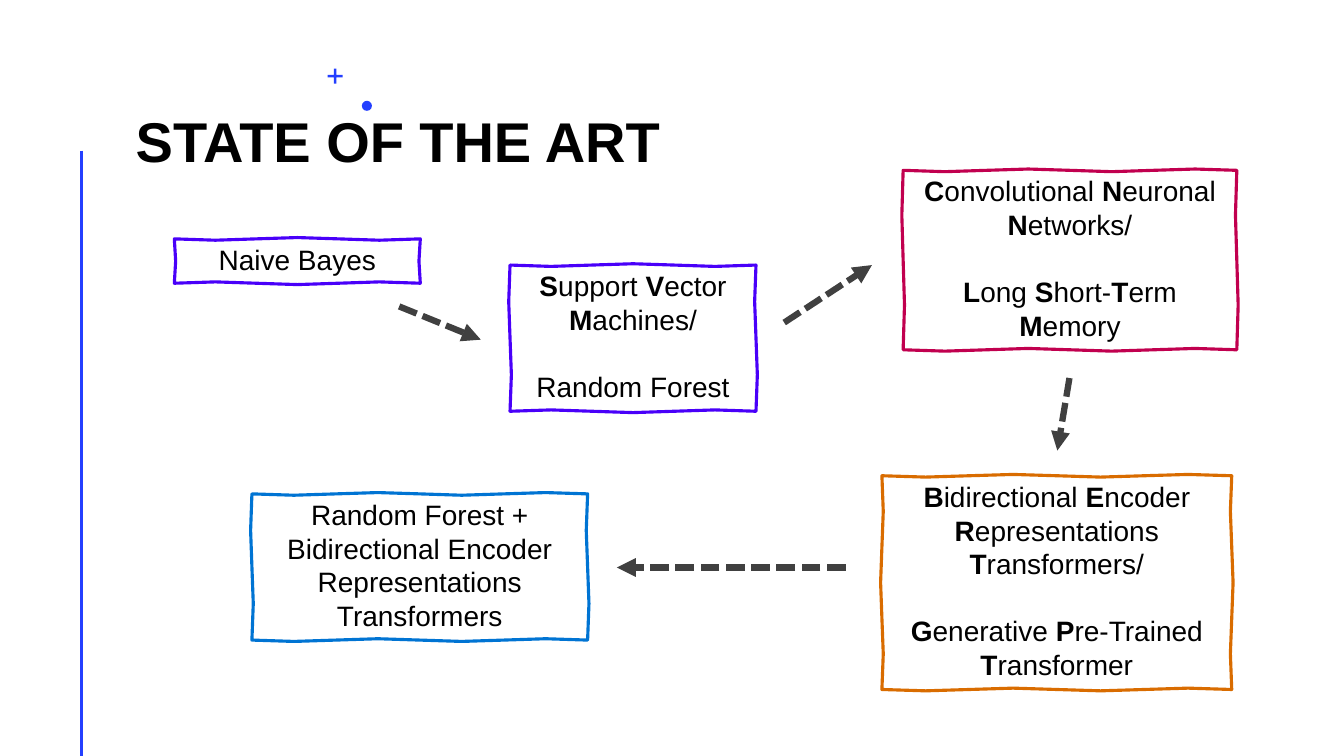
from dataclasses import dataclass
from math import hypot, pi, sin

from lxml import etree
from pptx import Presentation
from pptx.dml.color import RGBColor
from pptx.enum.dml import MSO_LINE
from pptx.enum.shapes import MSO_CONNECTOR, MSO_SHAPE
from pptx.enum.text import MSO_ANCHOR, PP_ALIGN
from pptx.oxml.ns import qn
from pptx.shapes.autoshape import Shape
from pptx.shapes.connector import Connector
from pptx.slide import Slide
from pptx.util import Emu, Inches, Pt

STRAIGHT = MSO_CONNECTOR.STRAIGHT
OVAL, CROSS = MSO_SHAPE.OVAL, MSO_SHAPE.CROSS
DASH = MSO_LINE.SQUARE_DOT
TOP, BOTTOM = MSO_ANCHOR.TOP, MSO_ANCHOR.BOTTOM
CENTER = PP_ALIGN.CENTER

CELL = Inches(1) / 3
COLUMNS, ROWS = 40, 22.5
WOBBLE = 0.04      # cells a sketched edge strays from straight
HALF_WAVE = 2.4    # cells between two crossings of the straight line


@dataclass(frozen=True)
class Theme:
    font: str = "Arial"
    title_size: Pt = Pt(40)
    body_size: Pt = Pt(20)
    body_leading: Pt = Pt(24)
    outline: Pt = Pt(2.25)
    rule: Pt = Pt(2)
    arrow: Pt = Pt(4.5)
    text: str = "000000"
    accent: str = "243FFF"
    arrow_color: str = "404040"
    violet: str = "4900F9"
    red: str = "C1004F"
    orange: str = "D96C00"
    blue: str = "0074D3"


THEME = Theme()


@dataclass(frozen=True)
class Method:
    """A box on the grid; letters between asterisks are bold."""
    column: float
    row: float
    width: float
    height: float
    color: str
    label: str


@dataclass(frozen=True)
class Step:
    start: tuple[float, float]
    end: tuple[float, float]


METHODS = (
    Method(5.19, 7.11, 7.32, 1.32, THEME.violet, "Naive Bayes"),
    Method(15.18, 7.89, 7.32, 4.35, THEME.violet,
           "*S*upport *V*ector *M*achines/\n\nRandom Forest"),
    Method(26.25, 14.16, 10.41, 6.36, THEME.orange,
           "*B*idirectional *E*ncoder *R*epresentations *T*ransformers/\n\n"
           "*G*enerative *P*re-Trained *T*ransformer"),
    Method(26.88, 5.07, 9.93, 5.34, THEME.red,
           "*C*onvolutional *N*euronal *N*etworks/\n\n"
           "*L*ong *S*hort-*T*erm *M*emory"),
    Method(7.5, 14.7, 9.99, 4.35, THEME.blue,
           "Random Forest + Bidirectional Encoder Representations "
           "Transformers"),
)

STEPS = (
    Step((11.88, 9.12), (14.31, 10.11)),
    Step((23.34, 9.6), (25.95, 7.89)),
    Step((31.83, 11.25), (31.47, 13.41)),
    Step((25.17, 16.89), (18.36, 16.89)),
)


def cells(count: float) -> Emu:
    return Emu(round(count * CELL))


def rgb(color: str) -> RGBColor:
    return RGBColor.from_string(color)


def wavy_edge(start: tuple[float, float],
              end: tuple[float, float]) -> list[tuple[Emu, Emu]]:
    """Crests and crossings of a slight wave along the straight line."""
    dx, dy = end[0] - start[0], end[1] - start[1]
    length = hypot(dx, dy)
    steps = 2 * max(1, round(length / HALF_WAVE))
    points = []
    for step in range(1, steps + 1):
        share = step / steps
        swing = WOBBLE * sin(pi * step / 2) / length
        points.append((cells(start[0] + dx * share - dy * swing),
                       cells(start[1] + dy * share + dx * swing)))
    return points


def write_label(box: Shape, label: str) -> None:
    frame = box.text_frame
    frame.word_wrap = True
    frame.vertical_anchor = TOP
    paragraph = frame.paragraphs[0]
    paragraph.alignment = CENTER
    paragraph.line_spacing = THEME.body_leading
    paragraph.font.name = THEME.font
    paragraph.font.size = THEME.body_size
    paragraph.font.color.rgb = rgb(THEME.text)
    for index, line in enumerate(label.split("\n")):
        if index:
            paragraph.add_line_break()
        for part, letters in enumerate(line.split("*")):
            if letters:
                run = paragraph.add_run()
                run.text = letters
                run.font.bold = part % 2 == 1


def draw_method(slide: Slide, method: Method) -> None:
    left, top = method.column, method.row
    right, bottom = left + method.width, top + method.height
    corners = [(left, top), (right, top), (right, bottom), (left, bottom)]
    outline = slide.shapes.build_freeform(cells(left), cells(top))
    for start, end in zip(corners, corners[1:] + corners[:1]):
        outline.add_line_segments(wavy_edge(start, end), close=False)
    outline.add_line_segments([], close=True)
    box = outline.convert_to_shape()
    box.shadow.inherit = False
    box.fill.background()
    box.line.color.rgb = rgb(method.color)
    box.line.width = THEME.outline
    write_label(box, method.label)


def draw_line(slide: Slide, start: tuple[float, float],
              end: tuple[float, float], color: str, width: Pt) -> Connector:
    line = slide.shapes.add_connector(
        STRAIGHT, *map(cells, start), *map(cells, end))
    line.line.color.rgb = rgb(color)
    line.line.width = width
    etree.SubElement(line._element.spPr, qn("a:effectLst"))
    return line


def draw_step(slide: Slide, step: Step) -> None:
    arrow = draw_line(slide, step.start, step.end,
                      THEME.arrow_color, THEME.arrow)
    arrow.line.dash_style = DASH
    etree.SubElement(arrow.line._get_or_add_ln(), qn("a:tailEnd"),
                     type="triangle")


def draw_ornament(slide: Slide, kind: MSO_SHAPE, column: float, row: float,
                  size: float) -> Shape:
    ornament = slide.shapes.add_shape(
        kind, cells(column), cells(row), cells(size), cells(size))
    ornament.shadow.inherit = False
    ornament.fill.solid()
    ornament.fill.fore_color.rgb = rgb(THEME.accent)
    ornament.line.fill.background()
    return ornament


def draw_title(slide: Slide, content: str) -> None:
    title = slide.shapes.add_textbox(
        cells(4.04), cells(0.96), cells(24.6), cells(4.2))
    frame = title.text_frame
    frame.word_wrap = True
    frame.vertical_anchor = BOTTOM
    frame.margin_left = frame.margin_right = 0
    frame.margin_top = frame.margin_bottom = 0
    paragraph = frame.paragraphs[0]
    paragraph.text = content
    paragraph.line_spacing = THEME.title_size
    paragraph.font.name = THEME.font
    paragraph.font.size = THEME.title_size
    paragraph.font.bold = True
    paragraph.font.color.rgb = rgb(THEME.text)


def main() -> None:
    deck = Presentation()
    deck.slide_width, deck.slide_height = cells(COLUMNS), cells(ROWS)
    slide = deck.slides.add_slide(deck.slide_layouts[6])
    draw_ornament(slide, OVAL, 10.77, 3, 0.3)
    plus = draw_ornament(slide, CROSS, 9.75, 2.04, 0.45)
    plus.adjustments[0] = 0.42
    draw_line(slide, (2.43, 4.48), (2.43, ROWS), THEME.accent, THEME.rule)
    draw_title(slide, "STATE OF THE ART")
    for method in METHODS:
        draw_method(slide, method)
    for step in STEPS:
        draw_step(slide, step)
    deck.save("out.pptx")


if __name__ == "__main__":
    main()
